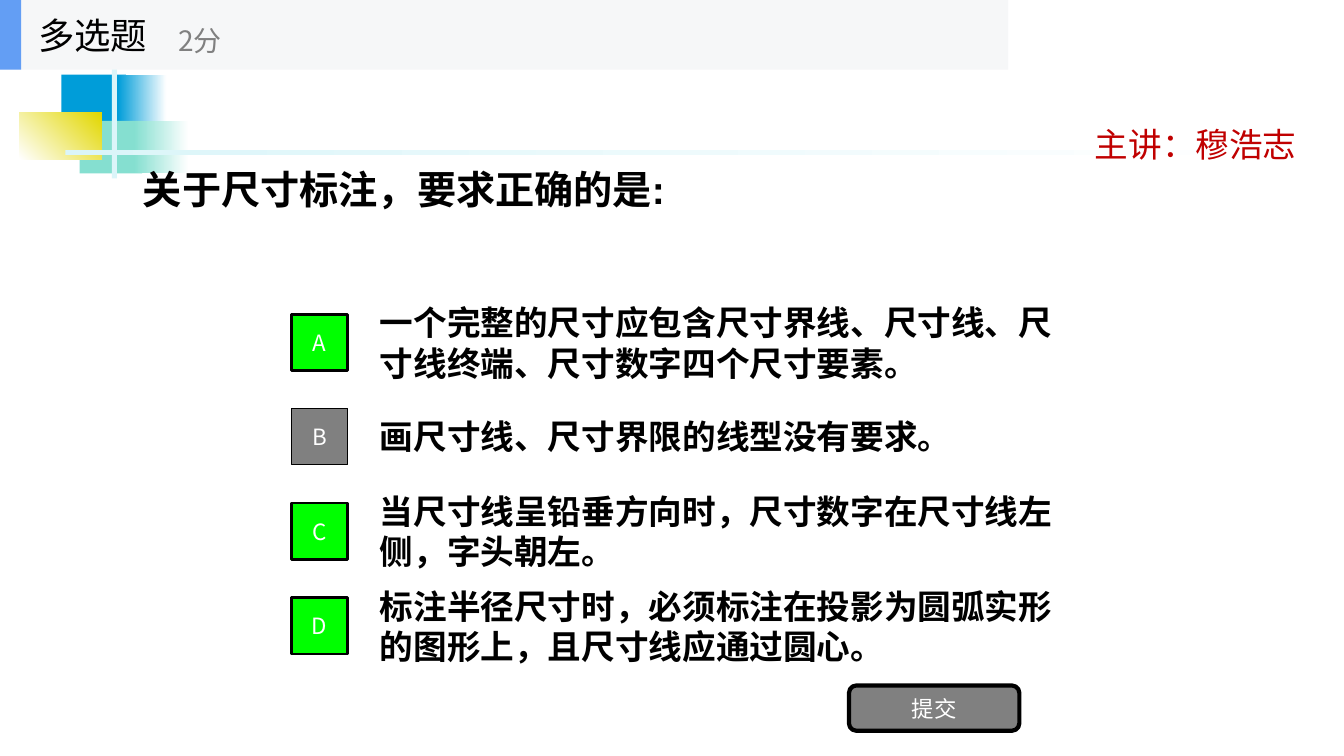
from lxml.etree import SubElement
from pptx import Presentation
from pptx.dml.color import RGBColor
from pptx.enum.shapes import MSO_SHAPE as SHAPE
from pptx.enum.text import MSO_ANCHOR as ANCHOR, PP_ALIGN as ALIGN
from pptx.oxml.ns import qn
from pptx.util import Emu, Pt

PX = 9144  # 100 px to the inch
SANS, LATIN = "Noto Sans CJK SC", "Arial"
BLACK, WHITE, GREY, GREEN = "000000", "FFFFFF", "808080", "00FF00"

OPTIONS = [
    ("A", "一个完整的尺寸应包含尺寸界线、尺寸线、尺寸线终端、尺寸数字四个尺寸要素。", True),
    ("B", "画尺寸线、尺寸界限的线型没有要求。", False),
    ("C", "当尺寸线呈铅垂方向时，尺寸数字在尺寸线左侧，字头朝左。", True),
    ("D", "标注半径尺寸时，必须标注在投影为圆弧实形的图形上，且尺寸线应通过圆心。", True),
]


def px(*lengths):
    return [Emu(n * PX) for n in lengths]


def rgb(value):
    return RGBColor.from_string(value)


def write(sp, text, size, color, font=SANS, bold=False, align=ALIGN.LEFT,
          anchor=ANCHOR.MIDDLE, wrap=True):
    tf = sp.text_frame
    tf.word_wrap = wrap
    tf.vertical_anchor = anchor
    p = tf.paragraphs[0]
    p.text = text
    p.alignment = align
    p.font.size = Pt(size)
    p.font.bold = bold
    p.font.name = font
    p.font.color.rgb = rgb(color)
    # East Asian typeface
    SubElement(p._p.pPr.find(qn("a:defRPr")), qn("a:ea"), typeface=SANS)


def add_text(s, box, text, size, color, **style):
    write(s.shapes.add_textbox(*px(*box)), text, size, color, **style)


def add_block(s, box, fill, end=None, angle=0, line=0, kind=SHAPE.RECTANGLE):
    """Shape with a plain fill, or a gradient from fill to end."""
    sp = s.shapes.add_shape(kind, *px(*box))
    sp.shadow.inherit = False
    if end:
        sp.fill.gradient()
        sp.fill.gradient_angle = angle
        for stop, color in zip(sp.fill.gradient_stops, (fill, end)):
            stop.color.rgb = rgb(color)
    else:
        sp.fill.solid()
        sp.fill.fore_color.rgb = rgb(fill)
    if line:
        sp.line.color.rgb = rgb(BLACK)
        sp.line.width = Pt(line)
    else:
        sp.line.fill.background()
    return sp


def add_button(s, box, text, fill, line, kind=SHAPE.RECTANGLE):
    sp = add_block(s, box, fill, line=line, kind=kind)
    write(sp, text, 16, WHITE, align=ALIGN.CENTER)


def add_decoration(s, x, y):
    # Overlapping colour blocks
    add_block(s, (x + 42, y + 12, 64, 52), "009DD9")
    add_block(s, (x + 98, y + 12, 48, 52), "009DD9", WHITE)
    add_block(s, (x + 60, y + 58, 62, 52), "85DFD0")
    add_block(s, (x + 114, y + 58, 54, 52), "85DFD0", WHITE)
    add_block(s, (x, y + 50, 82, 46), WHITE, "E2D700", angle=45)
    # Crossing bars
    add_block(s, (x + 92, y, 5, 115), "DBF5F9")
    add_block(s, (x + 46, y + 87, 1200, 5), "DBF5F9", WHITE)
    # Lecturer
    add_text(s, (x + 1057, y + 56, 249, 51), "主讲：穆浩志", 24, "C00000",
             anchor=ANCHOR.TOP)


def add_options(s, x, y, height):
    for i, (letter, text, correct) in enumerate(OPTIONS):
        top = y + i * height // len(OPTIONS)
        add_text(s, (x + 78, top, 700, 70), text, 24, BLACK, font=LATIN, bold=True)
        fill, line = (GREEN, 2) if correct else (GREY, 1)
        add_button(s, (x, top + 7, 56, 56), letter, fill, line)


def add_header(s, x, y, w, h):
    add_block(s, (x, y, w, h), "F6F7F8")
    add_block(s, (x, y, 21, h), "639EF4")
    add_text(s, (x + 28, y, 208, h), "多选题", 26, BLACK, wrap=False)
    add_text(s, (x + 167, y + 12, 250, h - 13), "2分", 20, GREY, wrap=False)


def main():
    prs = Presentation()
    prs.slide_width, prs.slide_height = px(1333, 750)
    s = prs.slides.add_slide(prs.slide_layouts[6])
    add_decoration(s, 19, 62)
    add_text(s, (132, 121, 800, 133), "关于尺寸标注，要求正确的是:", 28, BLACK,
             font=LATIN, bold=True)
    add_options(s, 289, 305, 375)
    add_button(s, (842, 680, 169, 45), "提交", GREY, 3, SHAPE.ROUNDED_RECTANGLE)
    add_header(s, 0, 0, 1000, 69)
    prs.save("out.pptx")


if __name__ == "__main__":
    main()
